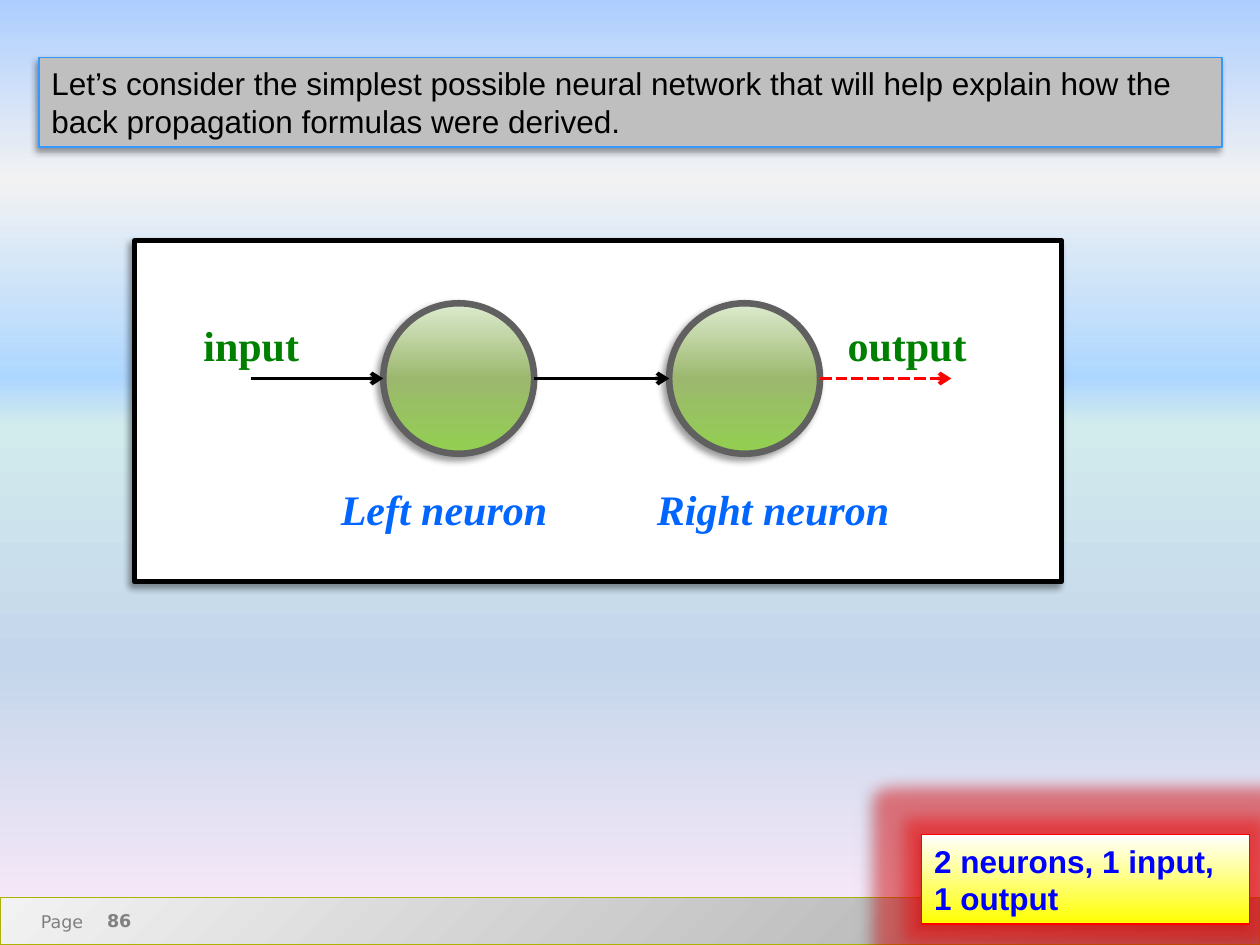
from lxml.etree import SubElement
from pptx import Presentation
from pptx.dml.color import RGBColor
from pptx.enum.dml import MSO_LINE
from pptx.enum.shapes import MSO_CONNECTOR, MSO_SHAPE
from pptx.enum.text import MSO_ANCHOR, PP_ALIGN
from pptx.oxml.ns import qn
from pptx.util import Pt

COLORS = {
    "black": "000000", "white": "FFFFFF", "red": "FF0000", "yellow": "FFFF00",
    "silver": "BFBFBF", "gray": "808080", "rim": "606060", "olive": "ABB202",
    "sky": "3399FF", "label": "008000", "name": "0066FF", "blue": "0000FF",
}
SKY = [(0, "ADCEFF"), (19, "F2F2F2"), (40, "AED7FF"), (45, "D2EBED"),
       (70, "C4D6EB"), (100, "FFEBFA")]
NEURON = [(0, "DDEBCF"), (50, "9CB86E"), (100, "92D050")]
FOOTER = [(0, "F2F2F2"), (100, "A6A6A6")]
GLOWING = [(0, COLORS["white"]), (100, COLORS["yellow"])]


def paint_gradient(owner, stops, angle=90):
    owner.fill.gradient()
    owner.fill.gradient_angle = 360 - angle
    stop_list = owner._element.find(".//" + qn("a:gsLst"))
    for old in list(stop_list):
        stop_list.remove(old)
    for position, color in stops:
        stop = SubElement(stop_list, qn("a:gs"), pos=str(position * 1000))
        SubElement(stop, qn("a:srgbClr"), val=color)


def write(shape, text, font="Arial", size=18, color="black", bold=False, italic=False,
          align=PP_ALIGN.LEFT, anchor=MSO_ANCHOR.TOP, wrap=True, inset=(7.2, 3.6)):
    frame = shape.text_frame
    frame.word_wrap = wrap
    frame.vertical_anchor = anchor
    frame.margin_left = frame.margin_right = Pt(inset[0])
    frame.margin_top = frame.margin_bottom = Pt(inset[1])
    paragraph = frame.paragraphs[0]
    paragraph.alignment = align
    run = paragraph.add_run()
    run.text = text
    run.font.name, run.font.size = font, Pt(size)
    run.font.bold, run.font.italic = bold, italic
    run.font.color.rgb = RGBColor.from_string(COLORS[color])


deck = Presentation()
deck.slide_width, deck.slide_height = Pt(720), Pt(540)
slide = deck.slides.add_slide(deck.slide_layouts[6])
shapes = slide.shapes
paint_gradient(slide.background, SKY)

# Panels and neurons: kind, place, fill, line colour, line width
panels = []
for kind, place, fill, line, width in [
    (MSO_SHAPE.RECTANGLE, (0, 513, 720, 27), FOOTER, "olive", 0.75),
    (MSO_SHAPE.RECTANGLE, (77, 137.5, 529.5, 195), "white", "black", 3),
    (MSO_SHAPE.RECTANGLE, (22.3, 33, 676, 51), "silver", "sky", 0.75),
    (MSO_SHAPE.FLOWCHART_CONNECTOR, (219, 173.3, 86.2, 86), NEURON, "rim", 3.75),
    (MSO_SHAPE.FLOWCHART_CONNECTOR, (382.4, 173.3, 86.2, 86), NEURON, "rim", 3.75),
    (MSO_SHAPE.RECTANGLE, (526.8, 477, 187.2, 51), GLOWING, "red", 0.75),
]:
    panel = shapes.add_shape(kind, *map(Pt, place))
    panel.shadow.inherit = False
    if isinstance(fill, list):
        paint_gradient(panel, fill, 45 if fill is FOOTER else 90)
    else:
        panel.fill.solid()
        panel.fill.fore_color.rgb = RGBColor.from_string(COLORS[fill])
    panel.line.color.rgb = RGBColor.from_string(COLORS[line])
    panel.line.width = Pt(width)
    panels.append(panel)
footer, diagram, intro, left_neuron, right_neuron, summary = panels

# Red glow round the summary, soft shadow under all but the footer
for panel in panels[1:]:
    effects = panel._element.spPr.find(qn("a:effectLst"))
    layers = [("a:outerShdw", "black", 40, {
        "blurRad": str(Pt(4)), "dist": str(Pt(3)), "dir": str(135 * 60000),
        "algn": "tl", "rotWithShape": "0"})]
    if panel is summary:
        layers.insert(0, ("a:glow", "red", 40, {"rad": str(Pt(18))}))
    for tag, color, opacity, settings in layers:
        effect = SubElement(effects, qn(tag), settings)
        tint = SubElement(effect, qn("a:srgbClr"), val=COLORS[color])
        SubElement(tint, qn("a:alpha"), val=str(opacity * 1000))

write(intro, "Let’s consider the simplest possible neural network that will help "
      "explain how the back propagation formulas were derived.")
write(summary, "2 neurons, 1 input, 1 output", color="blue", bold=True,
      anchor=MSO_ANCHOR.MIDDLE)

# Signal arrows
for start, end, color in [(143.3, 219, "black"), (305.2, 382.4, "black"),
                          (468.6, 543.6, "red")]:
    signal = shapes.add_connector(MSO_CONNECTOR.STRAIGHT, Pt(start), Pt(216.3),
                                  Pt(end), Pt(216.3))
    signal.line.color.rgb = RGBColor.from_string(COLORS[color])
    signal.line.width = Pt(2.25)
    if color == "red":
        signal.line.dash_style = MSO_LINE.SQUARE_DOT
    SubElement(signal.line._get_or_add_ln(), qn("a:tailEnd"), type="arrow")
    SubElement(signal._element.spPr, qn("a:effectLst"))

# Diagram labels
for text, left, top, width, color in [
    ("input", 108.7, 179.3, 69.8, "label"),
    ("output", 476.6, 179.3, 83.5, "label"),
    ("Left neuron", 185, 273, 137.5, "name"),
    ("Right neuron", 365.8, 273, 151.9, "name"),
]:
    label = shapes.add_textbox(Pt(left), Pt(top), Pt(width), Pt(36))
    write(label, text, font="Times New Roman", size=24, color=color, bold=True,
          italic=color == "name", align=PP_ALIGN.CENTER, wrap=False)

# Page number
for text, place, align, bold in [
    ("Page", (19.4, 520.6, 28.1, 12.2), PP_ALIGN.RIGHT, False),
    ("86", (56.2, 519.8, 23.8, 16.6), PP_ALIGN.CENTER, True),
]:
    page = shapes.add_textbox(*map(Pt, place))
    write(page, text, font="DejaVu Sans", size=10, color="gray", bold=bold,
          align=align, wrap=False, inset=(0, 0))

deck.save("out.pptx")
